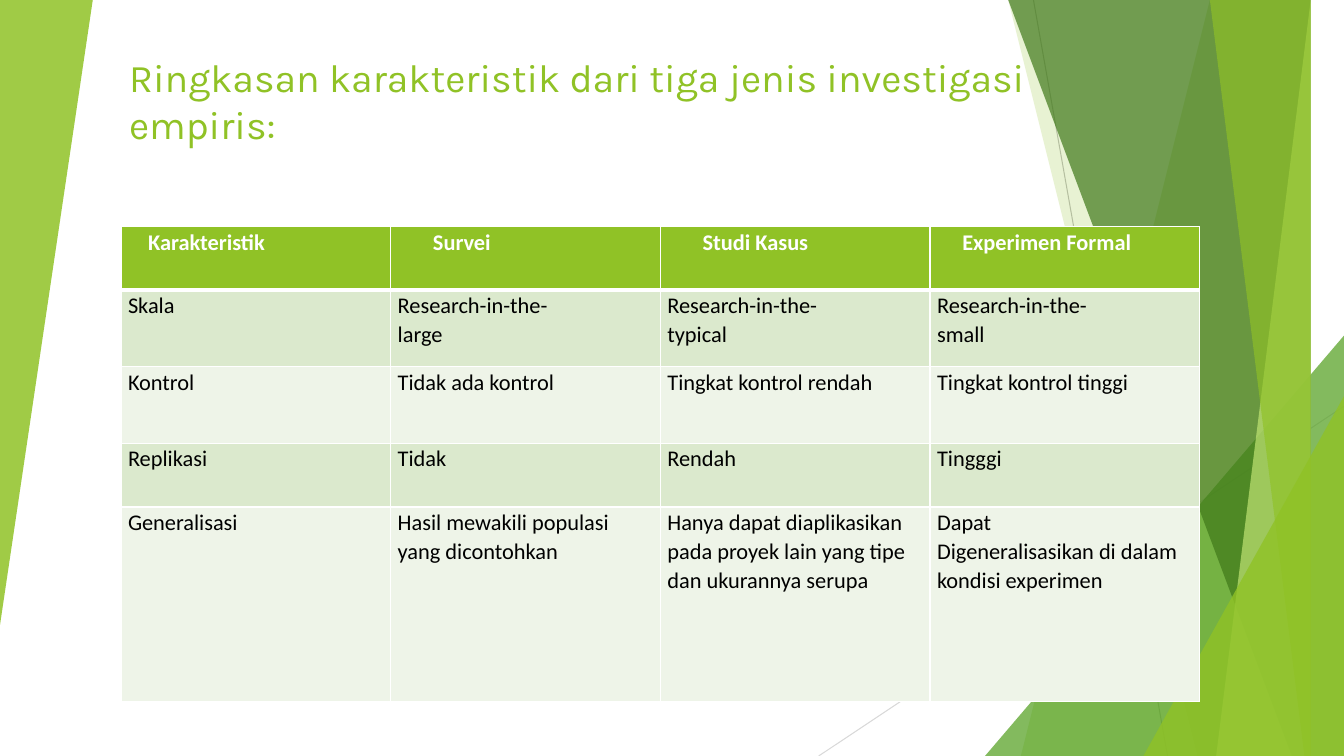
from lxml import etree
from pptx import Presentation
from pptx import util as u
from pptx.dml.color import RGBColor
from pptx.enum import shapes, text
from pptx.oxml import ns

COLOURS = {
    "lime": "90C226", "green": "54A021", "forest": "3F7819", "pale": "C0E474",
    "grey": "BFBFBF", "light grey": "D9D9D9", "white": "FFFFFF", "black": "000000",
    "dark band": "DBE9CD", "light band": "EEF4E8",
}
WIDTH, HEIGHT = 13.33, 7.5


def rgb(name):
    return RGBColor.from_string(COLOURS[name])


def paint(shape, colour, opacity):
    """Give a shape a translucent fill with no outline or shadow."""
    shape.shadow.inherit = False
    shape.line.fill.background()
    shape.fill.solid()
    shape.fill.fore_color.rgb = rgb(colour)
    colour_element = shape.fill._xPr.find(".//" + ns.qn("a:srgbClr"))
    etree.SubElement(colour_element, ns.qn("a:alpha"), val=str(opacity * 1000))


presentation = Presentation()
presentation.slide_width = u.Inches(WIDTH)
presentation.slide_height = u.Inches(HEIGHT)
slide = presentation.slides.add_slide(presentation.slide_layouts[5])

# Thin background lines
for x1, y1, x2, y2, colour in [
    (10.25, 0, 11.58, HEIGHT, "grey"),
    (WIDTH, 4.03, 8.12, HEIGHT, "light grey"),
]:
    connector = slide.shapes.add_connector(
        shapes.MSO_CONNECTOR.STRAIGHT, *map(u.Inches, (x1, y1, x2, y2)))
    connector.line.color.rgb = rgb(colour)
    connector.line.width = u.Pt(0.75)
    etree.SubElement(connector._element.spPr, ns.qn("a:effectLst"))

# Translucent facets: bands run from (top, bottom) x to the right slide edge,
# triangles have their apex above the right corner
for kind, geometry, colour, opacity in [
    ("band", (12.28, 10.04), "lime", 30),
    ("band", (10.5, 11.83), "lime", 20),
    ("triangle", (9.77, 3.33, 3.56, 4.17), "green", 72),
    ("band", (10.21, 12.91), "forest", 70),
    ("band", (13.03, 11.92), "pale", 70),
    ("band", (11.96, 13.18), "lime", 65),
    ("triangle", (11.34, 3.93, 1.99, 3.57), "lime", 80),
    ("left triangle", (0, 0, 0.92, 6.2), "lime", 85),
]:
    if kind == "band":
        top_x, bottom_x = geometry
        builder = slide.shapes.build_freeform(top_x, 0, scale=u.Inches(1))
        builder.add_line_segments(
            [(WIDTH, 0), (WIDTH, HEIGHT), (bottom_x, HEIGHT)], close=True)
        facet = builder.convert_to_shape()
    else:
        facet = slide.shapes.add_shape(
            shapes.MSO_SHAPE.ISOSCELES_TRIANGLE, *map(u.Inches, geometry))
        facet.adjustments[0] = 1
        facet.rotation = 180 if kind == "left triangle" else 0
    paint(facet, colour, opacity)

# Title, brought in front of the facets
title = slide.shapes.title
slide.shapes._spTree.append(title._element)
title.left, title.top, title.width, title.height = map(
    u.Inches, (1.18, 0.48, 9.45, 1.45))
title.text_frame.word_wrap = True
title.text_frame.auto_size = text.MSO_AUTO_SIZE.NONE
title.text_frame.vertical_anchor = text.MSO_ANCHOR.TOP
paragraph = title.text_frame.paragraphs[0]
paragraph.alignment = text.PP_ALIGN.LEFT
run = paragraph.add_run()
run.text = "Ringkasan karakteristik dari tiga jenis investigasi empiris:"
run.font.name = "Karla"
run.font.size = u.Pt(28)
run.font.color.rgb = rgb("lime")

# Comparison table; each cell is a list of paragraphs
ROWS = [
    [["Karakteristik"], ["Survei"], ["Studi Kasus"], ["Experimen Formal"]],
    [["Skala"], ["Research-in-the-", "large"], ["Research-in-the-", "typical"],
     ["Research-in-the-", "small"]],
    [["Kontrol"], ["Tidak ada kontrol"], ["Tingkat kontrol rendah"],
     ["Tingkat kontrol tinggi"]],
    [["Replikasi"], ["Tidak"], ["Rendah"], ["Tingggi"]],
    [["Generalisasi"], ["Hasil mewakili populasi yang dicontohkan"],
     ["Hanya dapat diaplikasikan pada proyek lain yang tipe dan ukurannya serupa"],
     ["Dapat", "Digeneralisasikan di dalam kondisi experimen"]],
]
ROW_HEIGHTS = [0.63, 0.76, 0.76, 0.63, 1.93]
HEADER_INDENTS = [0.2, 0.35, 0.35, 0.25]
COLUMN_WIDTH = 2.675

table = slide.shapes.add_table(
    len(ROWS), len(ROWS[0]), u.Inches(1.2), u.Inches(2.25),
    u.Inches(COLUMN_WIDTH * len(ROWS[0])), u.Inches(sum(ROW_HEIGHTS))).table
table.horz_banding = False
for column in table.columns:
    column.width = u.Inches(COLUMN_WIDTH)

for row_index, (row, height) in enumerate(zip(ROWS, ROW_HEIGHTS)):
    table.rows[row_index].height = u.Inches(height)
    header = row_index == 0
    band = "lime" if header else "dark band" if row_index % 2 else "light band"
    for column_index, lines in enumerate(row):
        cell = table.cell(row_index, column_index)
        indent = HEADER_INDENTS[column_index] if header else 0
        cell.margin_left = u.Inches(0.07 + indent)
        cell.margin_right = u.Inches(0.07)
        cell.margin_top = cell.margin_bottom = 0
        cell.vertical_anchor = text.MSO_ANCHOR.TOP

        properties = cell._tc.get_or_add_tcPr()
        for side in "LRTB":
            thick = (row_index, side) in [(0, "B"), (1, "T")]
            border = etree.SubElement(
                properties, ns.qn("a:ln" + side), w=str(u.Pt(3 if thick else 1)))
            border_fill = etree.SubElement(border, ns.qn("a:solidFill"))
            etree.SubElement(border_fill, ns.qn("a:srgbClr"), val=COLOURS["white"])
        cell.fill.solid()
        cell.fill.fore_color.rgb = rgb(band)

        frame = cell.text_frame
        for line_index, line in enumerate(lines):
            paragraph = frame.add_paragraph() if line_index else frame.paragraphs[0]
            paragraph.line_spacing = 1.07
            run = paragraph.add_run()
            run.text = line
            run.font.name = "Calibri"
            run.font.size = u.Pt(16)
            run.font.bold = header
            run.font.color.rgb = rgb("white" if header else "black")

presentation.save("out.pptx")
